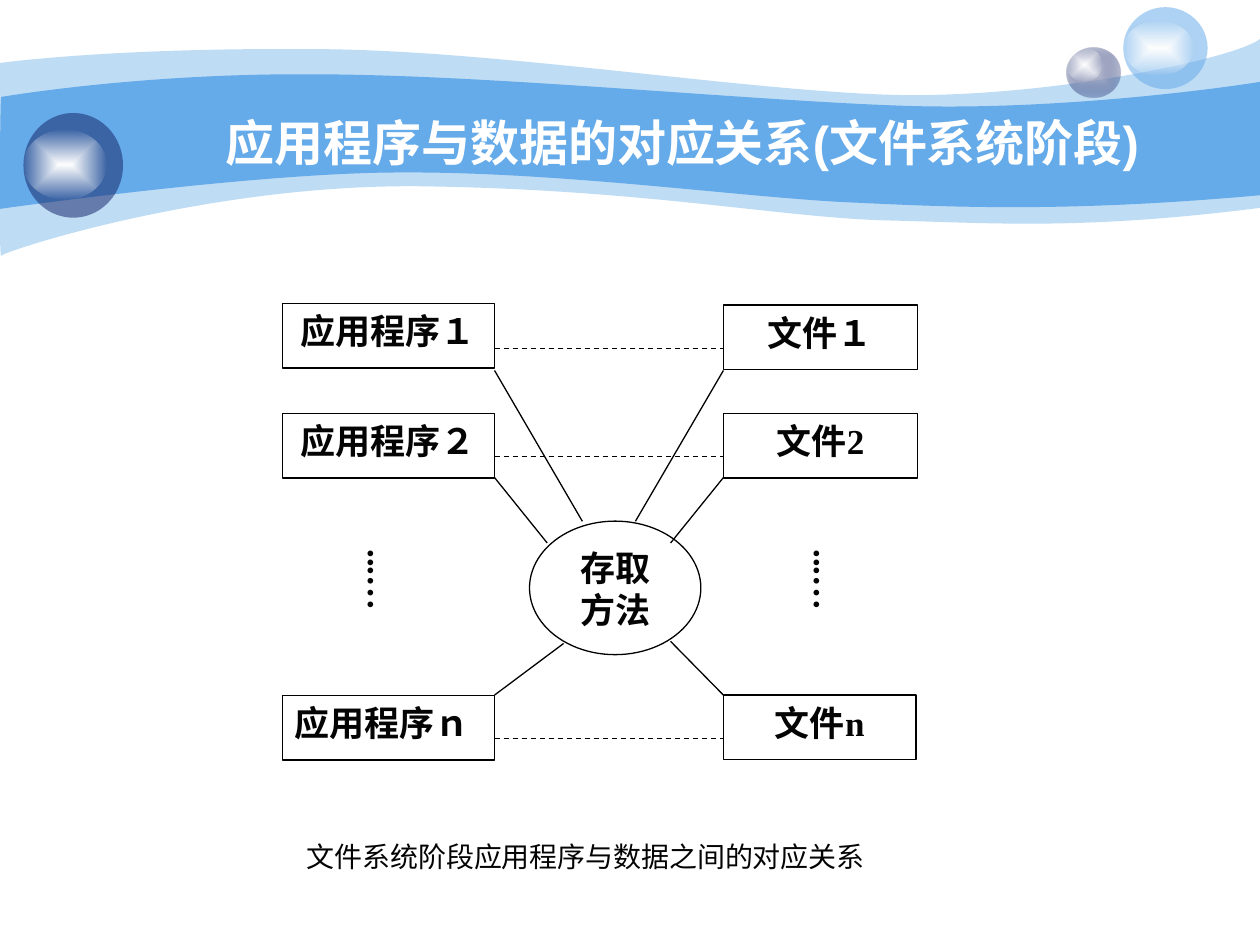
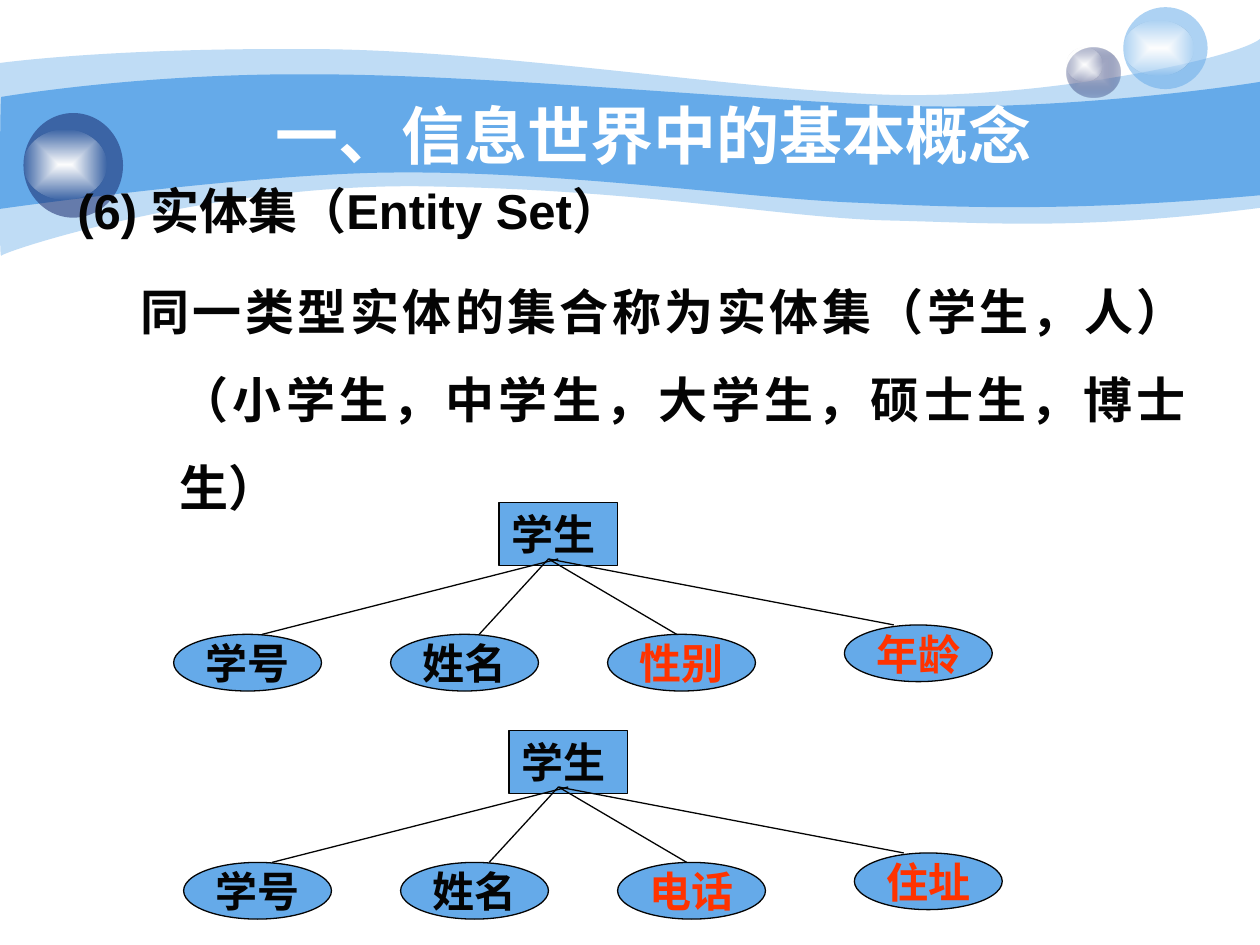
import pptx
import pptx.util
import pptx.dml.color
import pptx.enum.dml
import pptx.enum.shapes
import pptx.enum.text
import pptx.oxml
import pptx.oxml.ns

Pt = pptx.util.Pt
ALIGN = pptx.enum.text.PP_ALIGN
ANCHOR = pptx.enum.text.MSO_ANCHOR
SHAPE = pptx.enum.shapes.MSO_SHAPE
COLOURS = {"sky": "65AAE9", "navy": "16266A", "haze": "C4C8D9", "white": "FFFFFF",
           "ink": "040404", "line": "000000", "red": "FF3300"}
SERIF, SANS = "Times New Roman", "Arial"

# Each wave: colour opacity, start point, then curves (three points) and lines (one point).
WAVES = [
    (41, (0, 36), [
        ((17.3, 33.8), (77, 27.4), (177.8, 28.1)),
        ((278, 28.1), (414, 50.4), (503.3, 54)),
        ((591.8, 57.6), (705.6, 33.8), (720, 22.3)),
        ((720, 118.8),),
        ((617.8, 131.8), (566.6, 127.4), (507.6, 126)),
        ((447.8, 124.6), (370.8, 108.7), (247, 106.6)),
        ((123.8, 103.7), (2.9, 143.3), (0.7, 146.2)),
        ((-0.7, 149.8), (0, 54), (0, 36))]),
    (100, (0.7, 55.4), [
        ((1.4, 55.4), (79.2, 41.8), (178.6, 42.5)),
        ((277.9, 42.5), (428.4, 57.6), (517, 60.5)),
        ((605.5, 63.4), (702.7, 49.7), (720, 46.8)),
        ((720, 111.6),),
        ((614.2, 121), (550.8, 118.8), (491, 115.9)),
        ((431.3, 113.8), (321.8, 97.9), (228.2, 98.6)),
        ((146.2, 98.6), (-1.4, 119.5), (-0.7, 119.5)),
        ((0, 119.5), (0, 55.4), (0.7, 55.4))]),
]
# Each bubble: place, gradient stops (position, colour, opacity); one stop means a flat fill.
GLOW = [(0, "white", 100), (100, "white", 0)]
BUBBLES = [
    ((609.6, 27.1, 30.6, 28.8), [(0, "haze", 100), (100, "navy", 31)]),
    ((609.6, 27.1, 20.2, 19.4), GLOW),
    ((641.9, 4.1, 48.2, 46.8), [(0, "sky", 53)]),
    ((641.9, 12, 40.3, 31), GLOW),
    ((13.4, 64.6, 56.9, 59.8), [(0, "navy", 53)]),
    ((13.4, 74, 47.5, 40.3), GLOW),
]

MAPPING_TITLE = "应用程序与数据的对应关系(文件系统阶段)"
MAPPING_CAPTION = "文件系统阶段应用程序与数据之间的对应关系"
ACCESS_METHOD = "存取方法"
# Program, its top and alignment; file, its top and width; height of the dashed link
MAPPING_ROWS = [
    ("应用程序１", 173.4, ALIGN.CENTER, "文件１", 174.4, 110.9, 199.2),
    ("应用程序２", 236.2, ALIGN.CENTER, "文件2", 236.2, 110.9, 260.8),
    ("应用程序ｎ", 397.5, ALIGN.JUSTIFY, "文件n", 397.2, 110, 422),
]
# Height at the boxes, then the left and right ends at the access method
SPOKES = [
    (211.7, (332.8, 297.9), (363.1, 297.9)),
    (272.9, (312.7, 310.3), (383.2, 310.3)),
    (397.2, (322.1, 367.7), (383.2, 366.5)),
]
ELLIPSIS = "...…"

ENTITY_TITLE = "一、信息世界中的基本概念"
# Text, left margin, first-line indent
ENTITY_LINES = [
    ("(6) 实体集（Entity Set）", 27, -27),
    ("同一类型实体的集合称为实体集（学生，人）（小学生，中学生，大学生，硕士生，博士生）", 58.5, -22.5),
]
ENTITY = "学生"
# Origin of the tree and its attributes with their colours
TREES = [
    ((99.2, 287.2), [("学号", "ink"), ("姓名", "ink"), ("性别", "red"), ("年龄", "red")]),
    ((104.9, 417.5), [("学号", "ink"), ("姓名", "ink"), ("电话", "red"), ("住址", "red")]),
]
# Attribute left and top, branch start and end, all from the tree's origin
BRANCHES = [
    (0, 75.3, 219.8, 50.6),
    (124, 75.3, 214.2, 174.6),
    (248, 75.3, 214.2, 287.5),
    (383.3, 69.9, 214.2, 411.5),
]


def rgb(name):
    return pptx.dml.color.RGBColor.from_string(COLOURS[name])


def place(shape, left, top, width, height):
    shape.left, shape.top, shape.width, shape.height = map(Pt, (left, top, width, height))


def set_fill(shape, stops):
    """Fill with one translucent colour, or with a gradient towards the centre."""
    def colour(name, opacity):
        return f'<a:srgbClr val="{COLOURS[name]}"><a:alpha val="{opacity * 1000}"/></a:srgbClr>'

    namespace = pptx.oxml.ns.nsdecls("a")
    if len(stops) == 1:
        xml = f"<a:solidFill {namespace}>{colour(*stops[0][1:])}</a:solidFill>"
    else:
        steps = "".join(f'<a:gs pos="{position * 1000}">{colour(name, opacity)}</a:gs>'
                        for position, name, opacity in stops)
        xml = (f'<a:gradFill {namespace} rotWithShape="1"><a:gsLst>{steps}</a:gsLst>'
               '<a:path path="rect"><a:fillToRect l="50000" t="50000" r="50000" b="50000"/>'
               "</a:path></a:gradFill>")
    shape.fill.background()
    properties = shape.element.spPr
    properties.replace(properties.find(pptx.oxml.ns.qn("a:noFill")), pptx.oxml.parse_xml(xml))
    shape.line.fill.background()
    shape.shadow.inherit = False


def add_wave(page, start, segments):
    """Build the outline through all points, then turn each three lines into one curve."""
    builder = page.shapes.build_freeform(*start, scale=float(Pt(1)) / 100)
    builder = page.shapes.build_freeform(*(100 * value for value in start),
                                         scale=float(Pt(1)) / 100)
    builder.add_line_segments([(100 * x, 100 * y) for segment in segments for x, y in segment],
                              close=True)
    wave = builder.convert_to_shape()
    lines = iter(wave.element.xpath(".//a:lnTo"))
    for segment in segments:
        first, *others = [next(lines) for _ in segment]
        if others:
            curve = pptx.oxml.parse_xml(f'<a:cubicBezTo {pptx.oxml.ns.nsdecls("a")}/>')
            first.addprevious(curve)
            for line in (first, *others):
                curve.append(line[0])
                line.getparent().remove(line)
    return wave


def add_backdrop(layout, page):
    """Draw the waves and bubbles, then move them behind everything on the layout."""
    shapes = []
    for opacity, start, segments in WAVES:
        wave = add_wave(page, start, segments)
        set_fill(wave, [(0, "sky", opacity)])
        shapes.append(wave)
    for frame, stops in BUBBLES:
        bubble = page.shapes.add_shape(SHAPE.OVAL, *map(Pt, frame))
        set_fill(bubble, stops)
        shapes.append(bubble)
    for index, shape in enumerate(shapes):
        shape.element.nvSpPr.cNvPr.set("id", str(100 + index))
        layout.shapes.element.insert(2 + index, shape.element)


def write(box, text, size, colour="ink", align=ALIGN.CENTER, font=SERIF, bold=True,
          anchor=ANCHOR.TOP, wrap=True):
    frame = box.text_frame
    frame.text = text
    frame.word_wrap = wrap
    frame.auto_size = pptx.enum.text.MSO_AUTO_SIZE.NONE
    frame.vertical_anchor = anchor
    for para in frame.paragraphs:
        para.alignment = align
        para.font.name, para.font.size, para.font.bold = font, Pt(size), bold
        para.font.color.rgb = rgb(colour)


def add_title(page, text, frame, size):
    place(page.shapes.title, *frame)
    write(page.shapes.title, text, size, "white", font=SANS, anchor=ANCHOR.MIDDLE)


def add_node(page, kind, frame, fill, line):
    node = page.shapes.add_shape(kind, *map(Pt, frame))
    node.shadow.inherit = False
    node.fill.solid()
    node.fill.fore_color.rgb = rgb(fill)
    node.line.color.rgb = rgb(line)
    node.line.width = Pt(0.75)
    return node


def add_line(page, start, end, colour="line", dashed=False):
    line = page.shapes.add_connector(pptx.enum.shapes.MSO_CONNECTOR.STRAIGHT,
                                     *map(Pt, (*start, *end)))
    line.line.color.rgb = rgb(colour)
    line.line.width = Pt(0.75)
    if dashed:
        line.line.dash_style = pptx.enum.dml.MSO_LINE.DASH
    line.element.spPr.append(pptx.oxml.parse_xml(
        f'<a:effectLst {pptx.oxml.ns.nsdecls("a")}/>'))


def build_mapping(page):
    add_title(page, MAPPING_TITLE, (77.8, 36, 624.2, 90), 28)
    program_left, program_right, file_left = 161.3, 282.6, 413.4
    program_width = program_right - program_left
    for program, program_top, align, file, file_top, file_width, link in MAPPING_ROWS:
        for text, left, top, width, side in (
                (program, program_left, program_top, program_width, align),
                (file, file_left, file_top, file_width, ALIGN.CENTER)):
            node = add_node(page, SHAPE.RECTANGLE, (left, top, width, 36.9), "white", "line")
            write(node, text, 20, align=side)
        add_line(page, (program_right, link), (file_left, link), dashed=True)

    method = add_node(page, SHAPE.OVAL, (302.6, 297.8, 97.9, 76.3), "white", "line")
    write(method, ACCESS_METHOD, 20)
    for height, left_end, right_end in SPOKES:
        add_line(page, (program_right, height), left_end)
        add_line(page, (file_left, height), right_end)

    for left, height in ((195.8, 65.5), (450.7, 71.3)):
        dots = page.shapes.add_textbox(*map(Pt, (left, 306.7, 38.2, height)))
        write(dots, ELLIPSIS, 20)
        frame = dots.text_frame
        frame.margin_left = frame.margin_right = Pt(3.6)
        frame.margin_top = frame.margin_bottom = Pt(7.2)
        dots.element.txBody.bodyPr.set("vert", "eaVert")

    caption = page.shapes.add_textbox(*map(Pt, (139, 476.2, 391.7, 28.8)))
    write(caption, MAPPING_CAPTION, 16, bold=False, wrap=False)


def build_entity_sets(page):
    add_title(page, ENTITY_TITLE, (82.8, 54.7, 581.8, 44.6), 36)
    body = page.shapes.add_textbox(*map(Pt, (37.1, 82.8, 648, 457.2)))
    write(body, "\n".join(text for text, *_ in ENTITY_LINES), 28, align=ALIGN.JUSTIFY, font=SANS)
    for index, (para, (_, margin, indent)) in enumerate(
            zip(body.text_frame.paragraphs, ENTITY_LINES)):
        para.line_spacing = 1.5
        para.space_before = Pt(7 if index else 0)
        properties = para._p.get_or_add_pPr()
        properties.set("marL", str(Pt(margin)))
        properties.set("indent", str(Pt(indent)))

    for (left, top), attributes in TREES:
        root = add_node(page, SHAPE.RECTANGLE, (left + 185.9, top, 67.7, 36), "sky", "ink")
        write(root, ENTITY, 24, align=ALIGN.LEFT)
        for (text, colour), (x, y, start, end) in zip(attributes, BRANCHES):
            leaf = add_node(page, SHAPE.OVAL, (left + x, top + y, 84.5, 32.4), "sky", "ink")
            write(leaf, text, 24, colour, anchor=ANCHOR.MIDDLE, wrap=False)
            add_line(page, (left + start, top + 32.2), (left + end, top + y), "ink")


def main():
    deck = pptx.Presentation()
    deck.slide_width, deck.slide_height = Pt(720), Pt(540)
    layout = deck.slide_layouts[5]
    pages = [deck.slides.add_slide(layout) for _ in range(2)]
    add_backdrop(layout, pages[0])
    build_mapping(pages[0])
    build_entity_sets(pages[1])
    deck.save("out.pptx")


if __name__ == "__main__":
    main()
